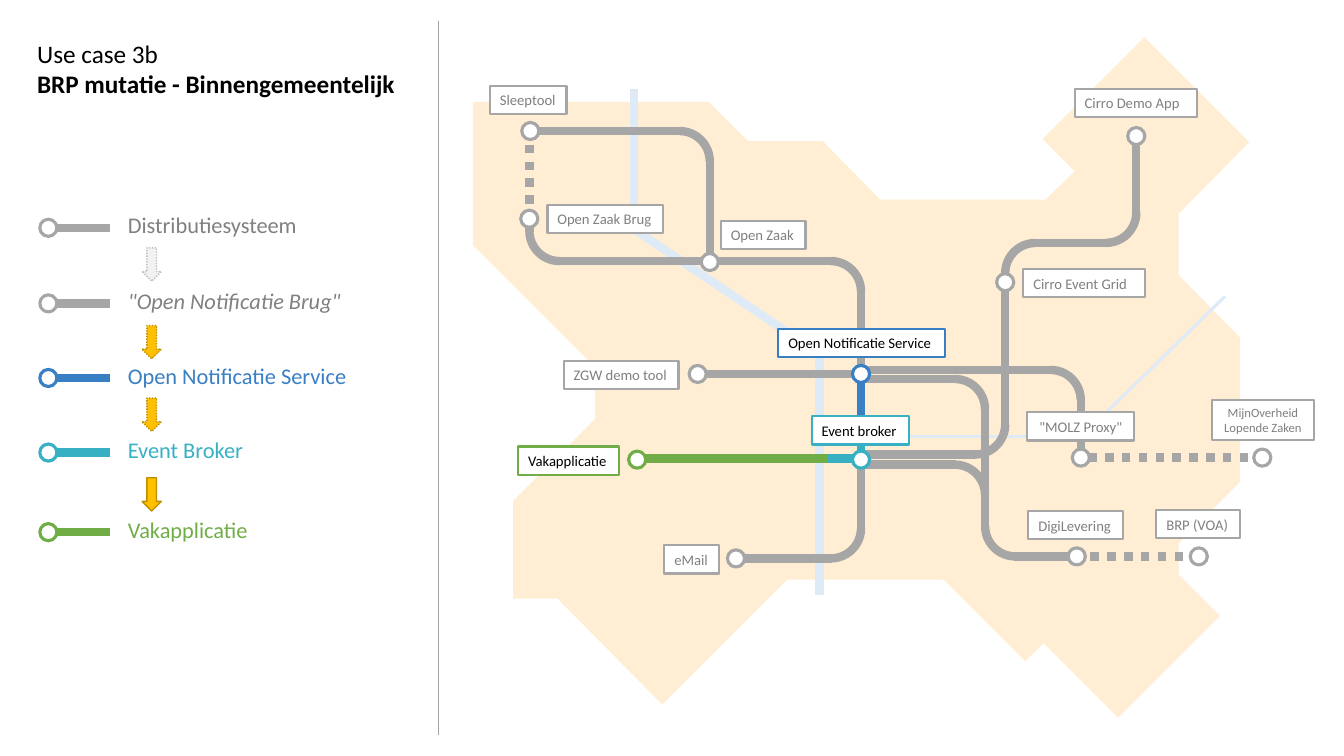
import pptx
import pptx.dml.color
import pptx.enum.dml
import pptx.enum.shapes
import pptx.enum.text
import pptx.oxml
import pptx.oxml.ns
import pptx.util

RGB = pptx.dml.color.RGBColor
SHAPE = pptx.enum.shapes.MSO_SHAPE
DOTTED = pptx.enum.dml.MSO_LINE.ROUND_DOT
LEFT = pptx.enum.text.PP_ALIGN.LEFT
CENTER = pptx.enum.text.PP_ALIGN.CENTER

WHITE = RGB(0xFF, 0xFF, 0xFF)
BLACK = RGB(0x00, 0x00, 0x00)
GREY = RGB(0xA6, 0xA6, 0xA6)
GREY_TEXT = RGB(0x80, 0x80, 0x80)
BLUE = RGB(0x39, 0x7F, 0xC4)
TEAL = RGB(0x38, 0xB0, 0xC4)
GREEN = RGB(0x70, 0xAD, 0x47)
WATER = RGB(0xDE, 0xEB, 0xF7)
LAND = RGB(0xFF, 0xE9, 0xC4)
DIVIDER = RGB(0xA5, 0xA5, 0xA5)
PALE, PALE_EDGE = RGB(0xF2, 0xF2, 0xF2), RGB(0xBF, 0xBF, 0xBF)
AMBER, AMBER_EDGE = RGB(0xFF, 0xC0, 0x00), RGB(0xBD, 0x8E, 0x00)

# Grid of square cells: 133.3 columns by 75 rows
CELL = pptx.util.Inches(0.1)
COLUMNS, ROWS = 133.3, 75
STATION = 1.7
BEND = 3
OVERLAP = 0.1
TRACK_WIDTH = 6

LEGEND = [
    ("Distributiesysteem", 22.6, GREY, GREY_TEXT),
    ("\"Open Notificatie Brug\"", 30.1, GREY, GREY_TEXT),
    ("Open Notificatie Service", 37.5, BLUE, BLUE),
    ("Event Broker", 44.9, TEAL, TEAL),
    ("Vakapplicatie", 52.8, GREEN, GREEN),
]
FLOW_ARROWS = [
    (24.6, PALE, PALE_EDGE, DOTTED),
    (32.3, AMBER, AMBER_EDGE, DOTTED),
    (39.5, AMBER, AMBER_EDGE, DOTTED),
    (47.4, AMBER, AMBER_EDGE, None),
]
MUNICIPALITY = [
    (113.5, 3.7), (123.9, 14.1), (116.9, 21.2), (116.9, 27.3), (123, 33.5),
    (123, 47.8), (116.9, 53.9), (116.9, 57), (121, 61.1), (110.9, 71.2),
    (103.5, 63.8), (101.7, 65.6), (93.6, 57.5), (78.1, 57.5), (65.7, 69.9),
    (55.3, 59.4), (50.9, 59.4), (50.9, 49.7), (59, 41.6), (59, 36.4),
    (46.9, 24.3), (46.9, 10.1), (70.3, 10.1), (74.2, 14), (81.6, 14),
    (87.3, 19.8), (103.7, 19.8), (106.6, 17), (103.4, 13.8),
]
WATERWAYS = [
    ((62.9, 8.8), (62.9, 22.8), 6),
    ((81.4, 35.2), (62.7, 22.6), 6),
    ((81.3, 59), (81.3, 34.9), 6),
    ((107.3, 43.3), (81.4, 43.3), 2.25),
    ((121.5, 29.4), (107.3, 43.3), 2.25),
]
TRACKS = [
    ([(53.3, 13), (70.4, 13), (70.4, 25.9)], GREY),
    ([(52.5, 21.5), (52.5, 25.9), (85.4, 25.9), (85.4, 37)], GREY),
    ([(70.1, 37.1), (84.9, 37.1)], GREY),
    ([(85.7, 36.7), (107.2, 36.7), (107.2, 45.2)], GREY),
    ([(85.7, 37.6), (97.7, 37.6), (97.7, 55.2), (106, 55.2)], GREY),
    ([(85.8, 46.1), (97.7, 46.1), (97.7, 49.2)], GREY),
    ([(85.6, 45.1), (99.7, 45.1), (99.7, 24.1), (112.7, 24.1), (112.7, 13.7)], GREY),
    ([(85.4, 46.4), (85.4, 55.4), (73.6, 55.4)], GREY),
    ([(85.4, 37.5), (85.4, 43.6)], BLUE),
    ([(63.5, 45.5), (85.3, 45.5)], GREEN),
    ([(82.1, 45.5), (84.6, 45.5)], TEAL),
    ([(85.4, 43.1), (85.4, 46.4)], TEAL),
]
DOTTED_TRACKS = [
    ((52.5, 12.7), (52.5, 22.1)),
    ((119, 55.2), (107.8, 55.2)),
    ((123.8, 45.4), (108.1, 45.4)),
]
STATIONS = [
    (52.6, 13, GREY), (52.5, 21.7, GREY), (70.4, 26, GREY),
    (69.2, 37.1, GREY), (73, 55.4, GREY), (99.7, 28, GREY),
    (112.7, 13.5, GREY), (106.8, 55.2, GREY), (118.9, 55.2, GREY),
    (107.2, 45.4, GREY), (125.2, 45.4, GREY), (63.2, 45.6, GREEN),
    (85.4, 45.6, TEAL), (85.4, 37.1, BLUE),
]
# Text, left, top, width, edge
LABELS = [
    ("Sleeptool", 48.6, 8.5, 7.6, GREY),
    ("Open Zaak Brug", 54.3, 20.3, 11.5, GREY),
    ("Open Zaak", 71.5, 21.9, 8.4, GREY),
    ("ZGW demo tool", 55.9, 35.8, 11.4, GREY),
    ("Vakapplicatie", 51.4, 44.3, 10, GREEN),
    ("eMail", 65.9, 54.1, 5.4, GREY),
    ("Cirro Event Grid", 101.5, 26.7, 12.1, GREY),
    ("Cirro Demo App", 106.6, 8.8, 12.1, GREY),
    ("Event broker", 80.5, 41.3, 9.7, TEAL),
    ("BRP (VOA)", 114.7, 50.6, 8.3, GREY),
    ("DigiLevering", 102, 50.7, 9.4, GREY),
    ("Open Notificatie Service", 77.2, 32.6, 16.5, BLUE),
]


def grid(*cells):
    """Turn grid positions into lengths."""
    return [round(cell * CELL) for cell in cells]


def add_line(slide, start, end, color, width, dash=None):
    line = slide.shapes.add_connector(
        pptx.enum.shapes.MSO_CONNECTOR.STRAIGHT, *grid(*start, *end))
    line.line.color.rgb = color
    line.line.width = pptx.util.Pt(width)
    if dash:
        line.line.dash_style = dash
    properties = line._element.spPr
    properties.append(properties.makeelement(pptx.oxml.ns.qn("a:effectLst"), {}))


def add_preset(slide, preset, box, fill, edge, width, dash=None):
    shape = slide.shapes.add_shape(preset, *grid(*box))
    shape.shadow.inherit = False
    if fill is None:
        shape.fill.background()
    else:
        shape.fill.solid()
        shape.fill.fore_color.rgb = fill
    shape.line.color.rgb = edge
    shape.line.width = pptx.util.Pt(width)
    if dash:
        shape.line.dash_style = dash
    return shape


def write(paragraph, text, size, color, align=LEFT, bold=False, italic=False):
    paragraph.text = text
    paragraph.alignment = align
    font = paragraph.font
    font.name, font.size = "Calibri", pptx.util.Pt(size)
    font.bold, font.italic = bold, italic
    font.color.rgb = color


def add_text_frame(slide, *box):
    frame = slide.shapes.add_textbox(*grid(*box)).text_frame
    frame.word_wrap = True
    return frame


def add_label(slide, text, left, top, width, edge, height=2.8, size=10.5, align=LEFT):
    label = add_preset(slide, SHAPE.RECTANGLE, (left, top, width, height), WHITE, edge, 1.5)
    label.text_frame.word_wrap = True
    label.text_frame.vertical_anchor = pptx.enum.text.MSO_ANCHOR.MIDDLE
    write(label.text_frame.paragraphs[0], text, size,
          GREY_TEXT if edge == GREY else BLACK, align)


def add_station(slide, x, y, color):
    box = (x - STATION / 2, y - STATION / 2, STATION, STATION)
    add_preset(slide, SHAPE.OVAL, box, WHITE, color, 2.25)


def toward(start, end, distance):
    """Move from start to end along a horizontal or vertical stretch."""
    return tuple(a + distance * ((b > a) - (b < a)) for a, b in zip(start, end))


def add_bend(slide, before, corner, after, color):
    """Round a corner with a quarter circle that touches both stretches."""
    entry, leave = toward(corner, before, BEND), toward(corner, after, BEND)
    x, y = (a + b - c for a, b, c in zip(entry, leave, corner))
    arc = add_preset(slide, SHAPE.ARC, (x - BEND, y - BEND, 2 * BEND, 2 * BEND),
                     None, color, TRACK_WIDTH)
    opens_right, opens_down = x > corner[0], y > corner[1]
    arc.rotation = {(False, True): 0, (False, False): 90,
                    (True, False): 180, (True, True): 270}[opens_right, opens_down]


def add_track(slide, stops, color):
    """Draw straight stretches with a bend at every inner stop."""
    last = len(stops) - 2
    trim = BEND - OVERLAP
    for i, (start, end) in enumerate(zip(stops, stops[1:])):
        add_line(slide, toward(start, end, trim) if i else start,
                 toward(end, start, trim) if i < last else end, color, TRACK_WIDTH)
    for before, corner, after in zip(stops, stops[1:], stops[2:]):
        add_bend(slide, before, corner, after, color)


def add_municipality(slide):
    start, *others = [grid(*point) for point in MUNICIPALITY]
    builder = slide.shapes.build_freeform(*start)
    builder.add_line_segments(others, close=True)
    land = builder.convert_to_shape()
    land.shadow.inherit = False
    land.fill.solid()
    land.fill.fore_color.rgb = LAND
    land.line.fill.background()
    color = land._element.spPr.find(".//" + pptx.oxml.ns.qn("a:srgbClr"))
    color.append(color.makeelement(pptx.oxml.ns.qn("a:alpha"), {"val": "74000"}))


def add_legend(slide):
    title = add_text_frame(slide, 2.7, 3.3, 39, 7.1)
    write(title.paragraphs[0], "Use case 3b", 18, BLACK)
    write(title.add_paragraph(), "BRP mutatie - Binnengemeentelijk", 18, BLACK, bold=True)
    for name, y, color, text_color in LEGEND:
        add_line(slide, (10.9, y), (5.3, y), color, TRACK_WIDTH)
        add_station(slide, 4.8, y, color)
        entry = add_text_frame(slide, 11.7, y - 2.1, 27, 3.7)
        write(entry.paragraphs[0], name, 16, text_color, italic=name.startswith('"'))
    for top, fill, edge, dash in FLOW_ARROWS:
        add_preset(slide, SHAPE.DOWN_ARROW, (14.1, top, 1.9, 3.3), fill, edge, 1, dash)


def add_metro_map(slide):
    add_municipality(slide)
    for start, end, width in WATERWAYS:
        add_line(slide, start, end, WATER, width)
    for start, end in DOTTED_TRACKS:
        add_line(slide, start, end, GREY, TRACK_WIDTH, DOTTED)
    for stops, color in TRACKS:
        add_track(slide, stops, color)
    for label in LABELS:
        add_label(slide, *label)
    add_label(slide, "\"MOLZ Proxy\"", 101.9, 40.9, 10.6, GREY, align=CENTER)
    add_label(slide, "MijnOverheid Lopende Zaken", 120.2, 39.7, 10.1, GREY, 4, 9, CENTER)
    for station in STATIONS:
        add_station(slide, *station)


def main():
    deck = pptx.Presentation()
    deck.slide_width, deck.slide_height = grid(COLUMNS, ROWS)
    slide = deck.slides.add_slide(deck.slide_layouts[6])
    add_legend(slide)
    add_line(slide, (43.5, 2.1), (43.5, 72.9), DIVIDER, 0.5)
    add_metro_map(slide)
    deck.save("out.pptx")


if __name__ == "__main__":
    main()
